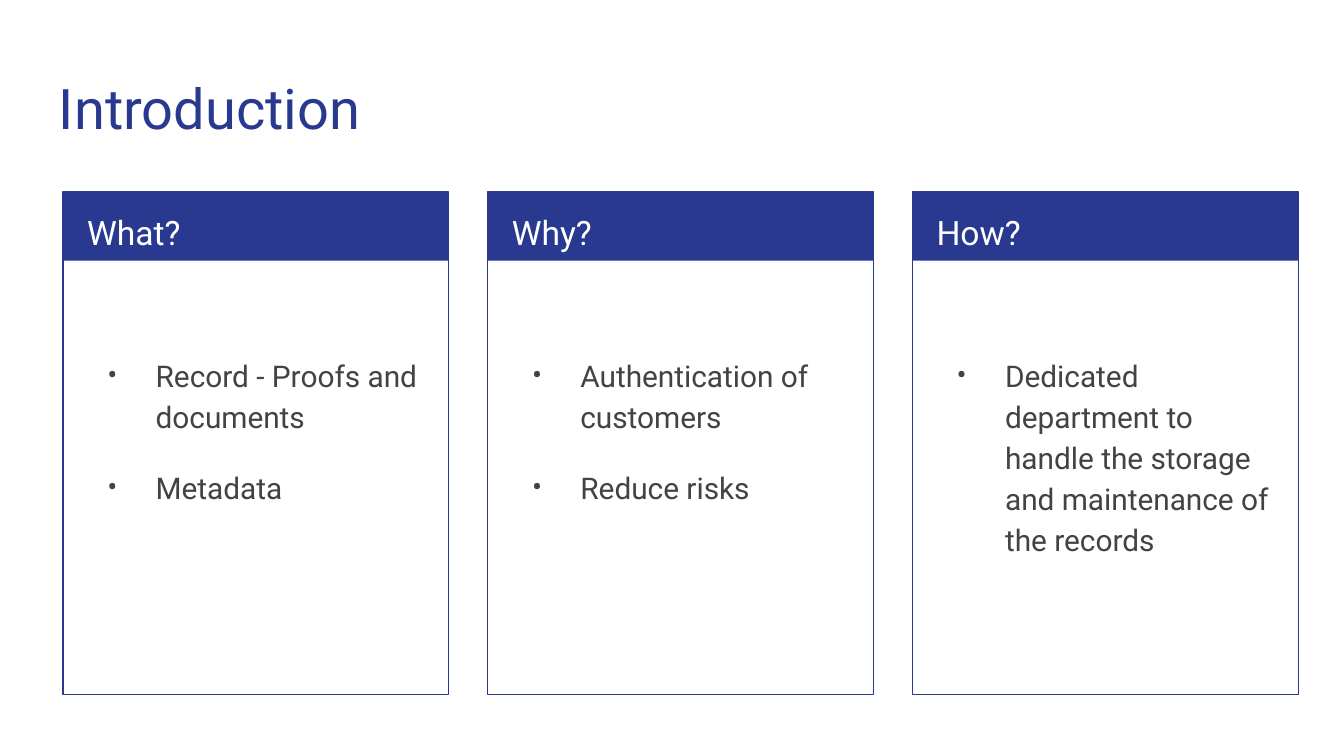
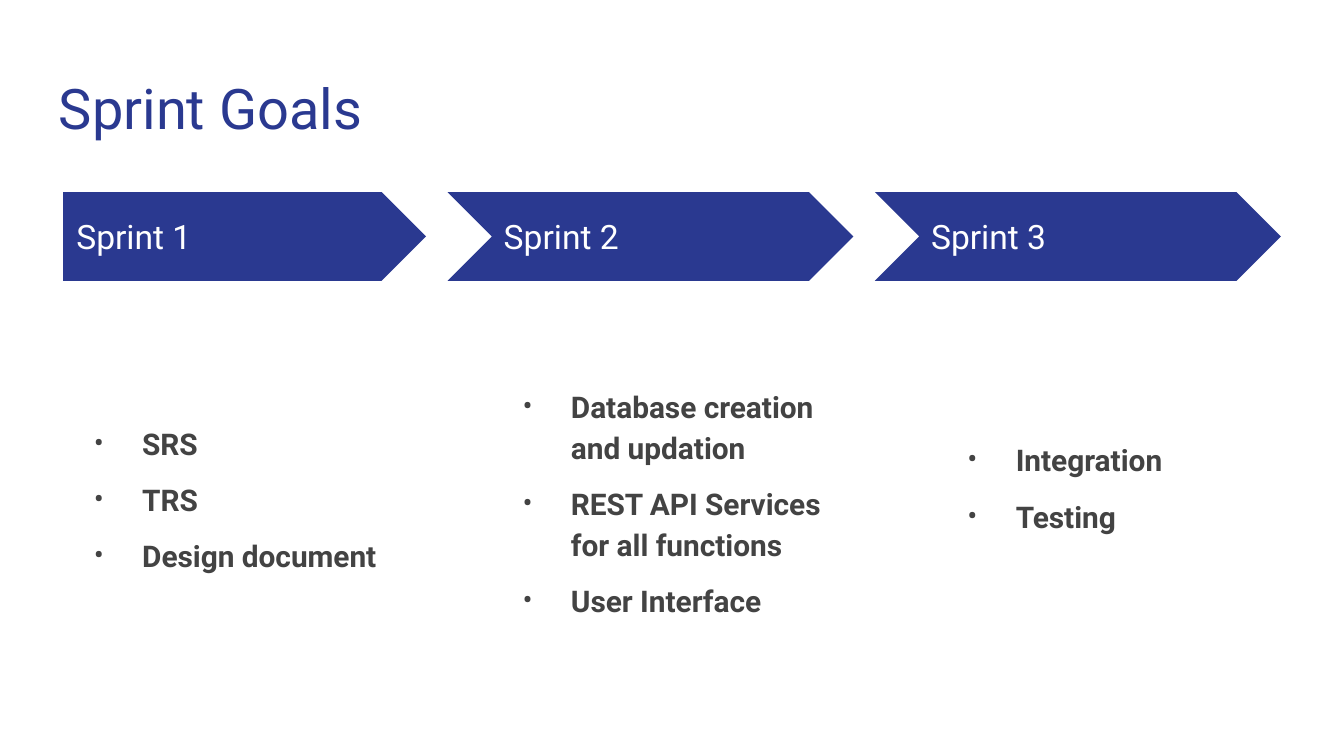
from dataclasses import dataclass

from lxml import etree
from pptx import Presentation
from pptx.dml.color import RGBColor
from pptx.enum.shapes import MSO_SHAPE
from pptx.enum.text import MSO_ANCHOR
from pptx.oxml.ns import qn
from pptx.util import Pt

RECTANGLE = MSO_SHAPE.RECTANGLE
PENTAGON = MSO_SHAPE.PENTAGON
CHEVRON = MSO_SHAPE.CHEVRON
TOP, MIDDLE = MSO_ANCHOR.TOP, MSO_ANCHOR.MIDDLE

EMU_PER_PX = 9144  # 100 px to the inch
SLIDE_WIDTH = 1000
INSET = 10
BULLET_INDENT, BULLET_HANG = 50, 36
BAND_TOP = 143
LEFT = 47


@dataclass(frozen=True)
class Theme:
    font: str = "Roboto"
    navy: str = "2A3990"
    gray: str = "434343"
    white: str = "FFFFFF"
    title_size: int = 30
    heading_size: int = 18
    body_size: int = 16
    line_spacing: float = 1.15


THEME = Theme()

CARDS = [
    ("What?", ["Record - Proofs and documents", "Metadata"]),
    ("Why?", ["Authentication of customers", "Reduce risks"]),
    ("How?", ["Dedicated department to handle the storage and "
              "maintenance of the records"]),
]

# label, goals box, space above the first goal, goals
SPRINTS = [
    ("Sprint 1", (46, 265, 270, 193), 38, ["SRS", "TRS", "Design document"]),
    ("Sprint 2", (365, 275, 270, 204), 0,
     ["Database creation and updation",
      "REST API Services for all functions", "User Interface"]),
    ("Sprint 3", (696, 315, 270, 124), 0, ["Integration", "Testing"]),
]


def px(length):
    return length * EMU_PER_PX


def rgb(color):
    return RGBColor.from_string(color)


def add_block(slide, kind, box, fill=None, line=None):
    block = slide.shapes.add_shape(kind, *map(px, box))
    block.shadow.inherit = False
    if fill:
        block.fill.solid()
        block.fill.fore_color.rgb = rgb(fill)
    else:
        block.fill.background()
    if line:
        block.line.color.rgb = rgb(line)
        block.line.width = Pt(0.75)
    else:
        block.line.fill.background()
    return block


def add_frame(slide, box, anchor=TOP, lead=0):
    """Add an empty wrapping text frame; lead is extra space above the text."""
    frame = slide.shapes.add_textbox(*map(px, box)).text_frame
    frame.word_wrap = True
    frame.vertical_anchor = anchor
    frame.margin_left = frame.margin_right = frame.margin_bottom = px(INSET)
    frame.margin_top = px(INSET + lead)
    return frame


def add_run(paragraph, text, size, color, bold=False):
    run = paragraph.add_run()
    run.text = text
    run.font.name = THEME.font
    run.font.size = Pt(size)
    run.font.color.rgb = rgb(color)
    run.font.bold = bold


def add_line(slide, box, text, size, color, anchor=TOP, spacing=1.0):
    paragraph = add_frame(slide, box, anchor).paragraphs[0]
    paragraph.line_spacing = spacing
    add_run(paragraph, text, size, color)


def set_bullet(paragraph):
    properties = paragraph._p.get_or_add_pPr()
    properties.set("marL", str(px(BULLET_INDENT)))
    properties.set("indent", str(-px(BULLET_HANG)))
    bullet_color = etree.SubElement(properties, qn("a:buClr"))
    etree.SubElement(bullet_color, qn("a:srgbClr"), val=THEME.gray)
    etree.SubElement(properties, qn("a:buFont"), typeface=THEME.font)
    etree.SubElement(properties, qn("a:buChar"), char="•")


def add_bullets(slide, box, items, space_after, lead=0, bold=False):
    frame = add_frame(slide, box, lead=lead)
    for index, item in enumerate(items):
        paragraph = frame.add_paragraph() if index else frame.paragraphs[0]
        paragraph.line_spacing = THEME.line_spacing
        paragraph.space_after = Pt(space_after)
        set_bullet(paragraph)
        add_run(paragraph, item, THEME.body_size, THEME.gray, bold)


def add_titled_slide(deck, title):
    slide = deck.slides.add_slide(deck.slide_layouts[6])
    add_line(slide, (34, 45, 932, 66), title, THEME.title_size, THEME.navy)
    return slide


def add_card(slide, left, heading, points):
    add_block(slide, RECTANGLE, (left, BAND_TOP, 287, 51), fill=THEME.navy)
    add_block(slide, RECTANGLE, (left, BAND_TOP, 287, 374), line=THEME.navy)
    add_line(slide, (left + 8, BAND_TOP, 273, 50), heading,
             THEME.heading_size, THEME.white, spacing=THEME.line_spacing)
    add_bullets(slide, (left + 9, 202, 271, 306), points,
                space_after=16, lead=50)


def add_sprint_arrow(slide, left, label, is_first):
    """Add one step; later steps reach back to enclose the tip before them."""
    notch = 0 if is_first else 32
    arrow = add_block(slide, PENTAGON if is_first else CHEVRON,
                      (left - notch, BAND_TOP, 270 + notch, 66),
                      fill=THEME.navy)
    arrow.adjustments[0] = 0.5
    add_line(slide, (left, 159, 247, 34), label,
             THEME.heading_size, THEME.white, anchor=MIDDLE)


def build_introduction(deck):
    slide = add_titled_slide(deck, "Introduction")
    for column, (heading, points) in enumerate(CARDS):
        add_card(slide, LEFT + 316 * column, heading, points)


def build_sprint_goals(deck):
    slide = add_titled_slide(deck, "Sprint Goals")
    for step, (label, goals_box, lead, goals) in enumerate(SPRINTS):
        add_sprint_arrow(slide, LEFT + 318 * step, label, step == 0)
        add_bullets(slide, goals_box, goals, space_after=8, lead=lead,
                    bold=True)


def main():
    deck = Presentation()
    deck.slide_width = px(SLIDE_WIDTH)
    deck.slide_height = px(SLIDE_WIDTH) * 9 // 16
    build_introduction(deck)
    build_sprint_goals(deck)
    deck.save("out.pptx")


if __name__ == "__main__":
    main()
